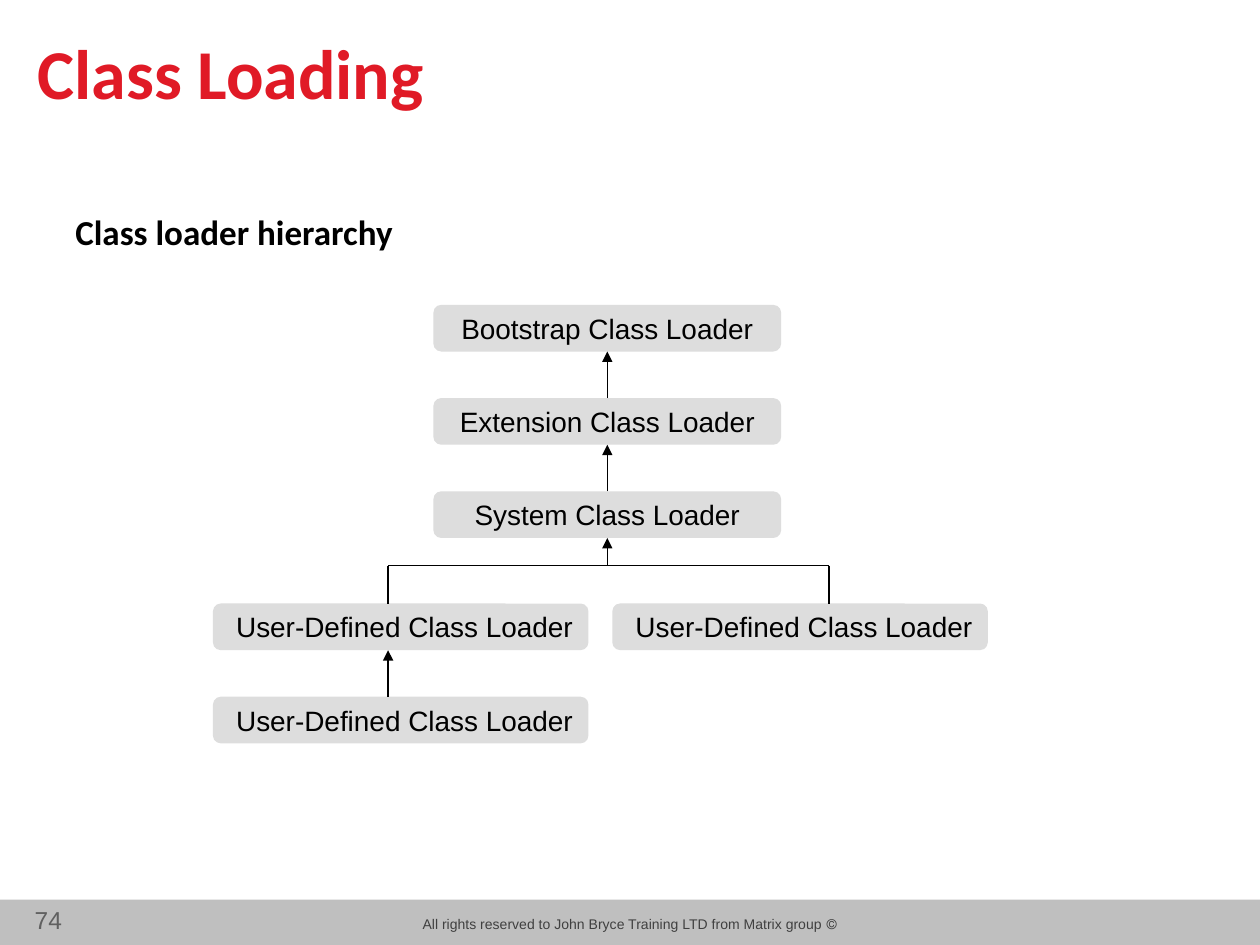
import pptx
import pptx.dml.color
import pptx.enum.shapes
import pptx.enum.text
import pptx.oxml
import pptx.util
from pptx.util import Inches

COLORS = {
    "title": "E01A26",
    "text": "000000",
    "box": "DDDDDD",
    "footer_bar": "BFBFBF",
    "copyright": "404040",
    "page_number": "606060",
}
ALIGN = pptx.enum.text.PP_ALIGN
ANCHOR = pptx.enum.text.MSO_ANCHOR
SHAPES = pptx.enum.shapes.MSO_SHAPE


def rgb(name):
    return pptx.dml.color.RGBColor.from_string(COLORS[name])


def write(shape, text, size, font, color, bold=False, align=ALIGN.LEFT,
          anchor=ANCHOR.TOP, wrap=True):
    """Put one formatted paragraph into the shape and return it."""
    frame = shape.text_frame
    frame.text = text
    frame.word_wrap = wrap
    frame.vertical_anchor = anchor
    paragraph = frame.paragraphs[0]
    paragraph.alignment = align
    run_font = paragraph.runs[0].font
    run_font.size = pptx.util.Pt(size)
    run_font.name = font
    run_font.bold = bold
    run_font.color.rgb = rgb(color)
    return paragraph


presentation = pptx.Presentation()
presentation.slide_width = Inches(10)
presentation.slide_height = Inches(7.5)
slide = presentation.slides.add_slide(presentation.slide_layouts[6])
shapes = slide.shapes

# Footer
footer_bar = shapes.add_shape(SHAPES.RECTANGLE, Inches(0), Inches(7.14), Inches(10), Inches(0.36))
footer_bar.shadow.inherit = False
footer_bar.fill.solid()
footer_bar.fill.fore_color.rgb = rgb("footer_bar")
footer_bar.line.fill.background()

copyright_box = shapes.add_textbox(Inches(3.08), Inches(7.22), Inches(3.84), Inches(0.24))
copyright_line = write(copyright_box, "© All rights reserved to John Bryce Training LTD from Matrix group",
                       8, "Arial", "copyright", align=ALIGN.CENTER)
copyright_line._p.get_or_add_pPr().set("rtl", "1")

page_number = shapes.add_textbox(Inches(0), Inches(7.13), Inches(0.59), Inches(0.34))
write(page_number, "74", 14, "Arial", "page_number", align=ALIGN.RIGHT)

# Headings
title = shapes.add_textbox(Inches(0.2), Inches(0.14), Inches(8.03), Inches(0.85))
write(title, "Class Loading", 40, "Calibri", "title", bold=True, anchor=ANCHOR.MIDDLE)

subtitle = shapes.add_textbox(Inches(0.5), Inches(1.62), Inches(9), Inches(0.5))
write(subtitle, "Class loader hierarchy", 20, "Calibri", "text", bold=True)

# Class loaders: name, text, left, top, width
BOX_HEIGHT = 0.37
ROW_STEP = 2 * BOX_HEIGHT
TOP = 2.42
USER_TOP = 4.79
USER_TEXT = " User-Defined Class Loader"
loaders = [
    ("bootstrap", "Bootstrap Class Loader", 3.44, TOP, 2.76),
    ("extension", "Extension Class Loader", 3.44, TOP + ROW_STEP, 2.76),
    ("system", "System Class Loader", 3.44, TOP + 2 * ROW_STEP, 2.76),
    ("user_left", USER_TEXT, 1.69, USER_TOP, 2.98),
    ("user_child", USER_TEXT, 1.69, USER_TOP + ROW_STEP, 2.98),
    ("user_right", USER_TEXT, 4.86, USER_TOP, 2.98),
]
boxes = {}
for name, text, left, top, width in loaders:
    box = shapes.add_shape(SHAPES.FLOWCHART_ALTERNATE_PROCESS,
                           Inches(left), Inches(top), Inches(width), Inches(BOX_HEIGHT))
    box.shadow.inherit = False
    box.fill.solid()
    box.fill.fore_color.rgb = rgb("box")
    box.line.fill.background()
    write(box, text, 16, "Arial", "text", align=ALIGN.CENTER, anchor=ANCHOR.MIDDLE, wrap=False)
    boxes[name] = box

# Lines: start, end, arrowhead, box joined at its top, box joined at its bottom
CENTER_X, LEFT_X, RIGHT_X = 4.82, 3.08, 6.58
BRANCH_Y = 4.49
lines = [
    ((CENTER_X, 3.16), (CENTER_X, 2.79), True, "extension", "bootstrap"),
    ((CENTER_X, 3.9), (CENTER_X, 3.53), True, "system", "extension"),
    ((CENTER_X, BRANCH_Y), (CENTER_X, 4.27), True, None, "system"),
    ((LEFT_X, BRANCH_Y), (RIGHT_X, BRANCH_Y), False, None, None),
    ((LEFT_X, BRANCH_Y), (LEFT_X, USER_TOP), False, None, None),
    ((RIGHT_X, BRANCH_Y), (RIGHT_X, USER_TOP), False, None, None),
    ((LEFT_X, 5.53), (LEFT_X, 5.16), True, None, None),
]
for start, end, arrow, child, parent in lines:
    connector = shapes.add_connector(pptx.enum.shapes.MSO_CONNECTOR.STRAIGHT,
                                     *map(Inches, start + end))
    if child:
        connector.begin_connect(boxes[child], 0)
    if parent:
        connector.end_connect(boxes[parent], 2)
    connector.line.color.rgb = rgb("text")
    connector.line.width = pptx.util.Pt(0.75)
    if arrow:
        line_xml = connector.line._get_or_add_ln()
        line_xml.append(line_xml.makeelement(pptx.oxml.ns.qn("a:tailEnd"), {"type": "triangle"}))
    properties = connector._element.spPr
    properties.append(properties.makeelement(pptx.oxml.ns.qn("a:effectLst"), {}))

presentation.save("out.pptx")
